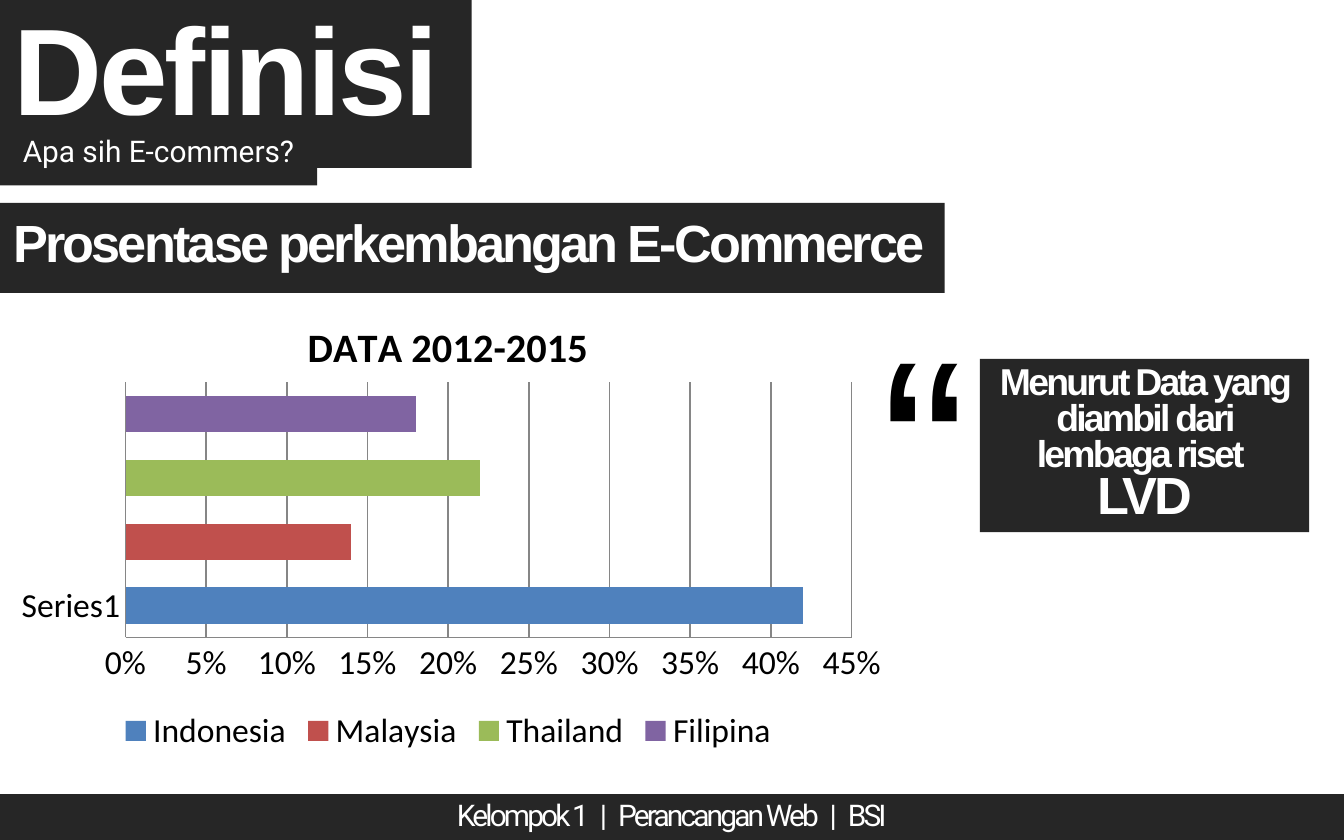
from dataclasses import dataclass

from lxml.etree import SubElement
from pptx import Presentation
from pptx.chart.data import CategoryChartData
from pptx.dml.color import RGBColor
from pptx.enum.chart import XL_CHART_TYPE as ChartType
from pptx.enum.chart import XL_LEGEND_POSITION as LegendPosition
from pptx.enum.chart import XL_TICK_MARK as TickMark
from pptx.enum.shapes import MSO_SHAPE as Preset
from pptx.enum.text import MSO_ANCHOR as Anchor
from pptx.enum.text import MSO_AUTO_SIZE as AutoSize
from pptx.enum.text import PP_ALIGN as Align
from pptx.oxml.ns import qn
from pptx.util import Inches, Pt


@dataclass(frozen=True)
class Theme:
    panel: str = "262626"
    light: str = "FFFFFF"
    ink: str = "000000"
    grid: str = "868686"
    bars: tuple = ("4F81BD", "C0504D", "9BBB59", "8064A2")
    heading: str = "Arial"
    body: str = "Roboto"
    chart: str = "Calibri"
    hero: float = 66
    quote: float = 138
    title: float = 28
    lead: float = 20
    small: float = 16
    label: float = 18
    chart_title: float = 21.6
    tracking: int = -150


class SlideBuilder:
    COLUMNS, ROWS = 100, 62.5

    def __init__(self, deck, theme):
        self.theme = theme
        self.column = deck.slide_width / self.COLUMNS
        self.row = deck.slide_height / self.ROWS
        self.page = deck.slides.add_slide(deck.slide_layouts[6])

    def place(self, left, top, width, height):
        return (round(left * self.column), round(top * self.row),
                round(width * self.column), round(height * self.row))

    def style(self, font, color, **values):
        for name, value in values.items():
            setattr(font, name, value)
        font.color.rgb = RGBColor.from_string(color)

    def span(self, para, text, size, family, bold=False, tight=False, color=None):
        span = para.add_run()
        span.text = text
        self.style(span.font, color or self.theme.light,
                   size=Pt(size), name=family, bold=bold)
        if tight:
            span.font._element.set("spc", str(self.theme.tracking))

    def panel(self, area, lines, align=Align.LEFT, spacing=1.0, **look):
        box = self.page.shapes.add_shape(Preset.RECTANGLE, *self.place(*area))
        box.shadow.inherit = False
        box.fill.solid()
        box.fill.fore_color.rgb = RGBColor.from_string(self.theme.panel)
        box.line.fill.background()
        box.text_frame.word_wrap = True
        box.text_frame.vertical_anchor = Anchor.MIDDLE
        para = box.text_frame.paragraphs[0]
        para.alignment = align
        para.line_spacing = spacing
        for index, (text, size) in enumerate(lines):
            if index:
                para.add_line_break()
            self.span(para, text, size, **look)

    def quote_mark(self, area):
        frame = self.page.shapes.add_textbox(*self.place(*area)).text_frame
        frame.word_wrap = False
        frame.auto_size = AutoSize.SHAPE_TO_FIT_TEXT
        self.span(frame.paragraphs[0], "“", self.theme.quote,
                  self.theme.heading, color=self.theme.ink)

    def axis(self, axis):
        axis.major_tick_mark = axis.minor_tick_mark = TickMark.NONE
        self.outline(axis.format.line)

    def outline(self, line):
        line.width = Pt(0.75)
        line.color.rgb = RGBColor.from_string(self.theme.grid)

    def plot_layout(self, chart, **shares):
        area = chart._chartSpace.chart.plotArea
        for old in area.findall(qn("c:layout")):
            area.remove(old)
        layout = SubElement(area, qn("c:layout"))
        area.insert(0, layout)
        manual = SubElement(layout, qn("c:manualLayout"))
        settings = {"layoutTarget": "inner", "xMode": "edge", "yMode": "edge", **shares}
        for name, value in settings.items():
            SubElement(manual, qn(f"c:{name}")).set("val", str(value))

    def bar_chart(self, area, title, growth):
        theme = self.theme
        data = CategoryChartData(number_format="0%")
        data.categories = ["Series1"] + [""] * (len(growth) - 1)
        for index, (country, share) in enumerate(growth.items()):
            data.add_series(country, [share if slot == index else None
                                      for slot in range(len(growth))])
        chart = self.page.shapes.add_chart(
            ChartType.BAR_STACKED, *self.place(*area), data).chart
        self.style(chart.font, theme.ink, size=Pt(theme.label), name=theme.chart)
        chart.has_title = True
        chart.chart_title.include_in_layout = False
        self.span(chart.chart_title.text_frame.paragraphs[0], title,
                  theme.chart_title, theme.chart, bold=True, color=theme.ink)
        chart.has_legend = True
        chart.legend.position = LegendPosition.BOTTOM
        chart.legend.include_in_layout = False

        plot = chart.plots[0]
        plot.vary_by_categories = False
        plot.gap_width, plot.overlap = 75, 100
        for series, color in zip(plot.series, theme.bars):
            series.format.fill.solid()
            series.format.fill.fore_color.rgb = RGBColor.from_string(color)

        self.axis(chart.category_axis)
        values = chart.value_axis
        self.axis(values)
        limits = dict(minimum_scale=0, maximum_scale=0.45, major_unit=0.05,
                      has_major_gridlines=True)
        for name, value in limits.items():
            setattr(values, name, value)
        self.outline(values.major_gridlines.format.line)
        values.tick_labels.number_format = "0%"
        values.tick_labels.number_format_is_linked = False
        self.plot_layout(chart, x=0.14, y=0.19, w=0.81, h=0.55)


def main():
    deck = Presentation()
    deck.slide_width, deck.slide_height = Inches(10), Inches(6.25)
    theme = Theme()
    slide = SlideBuilder(deck, theme)
    strong = dict(family=theme.heading, bold=True, tight=True)

    slide.panel((0, 0, 35.1, 12.5), [("Definisi", theme.hero)], spacing=0.7, **strong)
    slide.panel((0, 8.6, 23.6, 5.2), [("Apa sih E-commers?", theme.small)],
                Align.CENTER, family=theme.body)
    slide.panel((0, 59.1, 100, 3.4),
                [("Kelompok 1   |   Perancangan Web   |   BSI", theme.small)],
                Align.CENTER, 0.9, family=theme.body, tight=True)
    slide.panel((0, 15.1, 70.3, 6.7),
                [("Prosentase perkembangan E-Commerce", theme.title)],
                spacing=0.8, **strong)
    slide.bar_chart((0, 21.9, 66.7, 34.5), "DATA 2012-2015",
                    {"Indonesia": 0.42, "Malaysia": 0.14,
                     "Thailand": 0.22, "Filipina": 0.18})
    slide.quote_mark((64.6, 20.6, 8.5, 24.2))
    slide.panel((72.9, 26.7, 24.5, 12.9),
                [("Menurut Data yang diambil dari lembaga riset ", theme.lead),
                 ("LVD", theme.title)], Align.CENTER, 0.8, **strong)
    deck.save("out.pptx")


if __name__ == "__main__":
    main()
